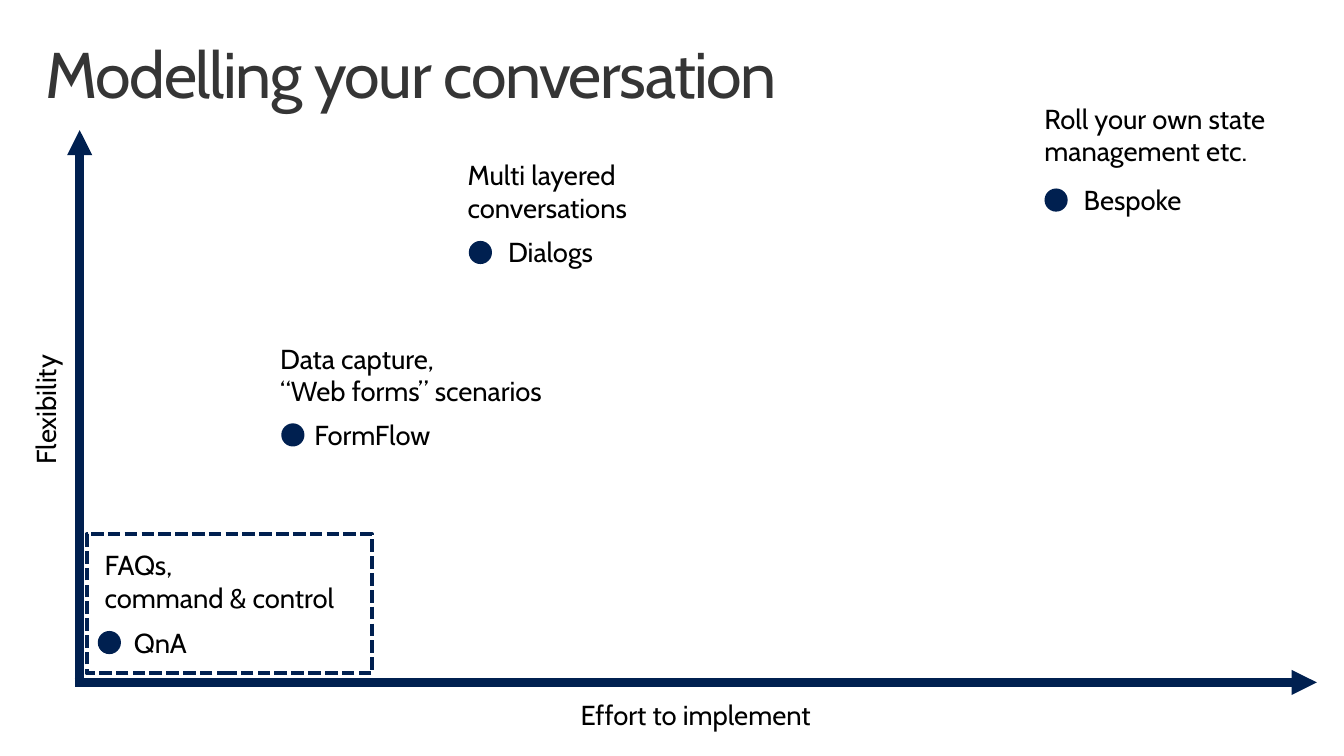
from lxml import etree
from pptx import Presentation
from pptx.dml.color import RGBColor
from pptx.enum.dml import MSO_LINE_DASH_STYLE as DASH
from pptx.enum.shapes import MSO_CONNECTOR as CONNECTOR, MSO_SHAPE as SHAPE
from pptx.enum.text import MSO_AUTO_SIZE as AUTO_SIZE, PP_ALIGN as ALIGN
from pptx.oxml.ns import qn
from pptx.util import Inches, Pt

COLORS = {"navy": "002050", "title": "353535", "text": "000000"}
LABEL = {"name": "Cabin", "size": Pt(19.6)}
TITLE = {"name": "Cabin", "size": Pt(46.1)}
DOT_SIZE = 0.23

OPTIONS = [
    ("Dialogs", (4.65, 2.39), (4.94, 2.28),
     ["Multi layered", "conversations"], (4.54, 1.52, 3.42, 0.76)),
    ("FormFlow", (2.79, 4.2), (3.02, 4.1),
     ["Data capture,", "“Web forms” scenarios"], (2.68, 3.34, 3.14, 0.76)),
    ("QnA", (0.97, 6.26), (1.23, 6.16),
     ["FAQs,", "command & control"], (0.94, 5.39, 3.14, 0.76)),
    ("Bespoke", (10.36, 1.87), (10.65, 1.77),
     ["Roll your own state management etc."], (10.26, 0.96, 3.05, 0.76)),
]


def rgb(name):
    return RGBColor.from_string(COLORS[name])


def add_text(shapes, lines, box, align=ALIGN.LEFT, fmt=LABEL, color="text"):
    sp = shapes.add_textbox(*map(Inches, box))
    tf = sp.text_frame
    tf.word_wrap = True
    tf.auto_size = AUTO_SIZE.SHAPE_TO_FIT_TEXT
    for i, line in enumerate(lines):
        p = tf.paragraphs[0] if i == 0 else tf.add_paragraph()
        p.alignment = align
        r = p.add_run()
        r.text = line
        for key, value in fmt.items():
            setattr(r.font, key, value)
        r.font.color.rgb = rgb(color)
    return sp


def add_title(s, text):
    sp = add_text(s.shapes, [text], (0.29, 0.32, 12.75, 0.98), fmt=TITLE, color="title")
    tf = sp.text_frame
    tf.auto_size = AUTO_SIZE.NONE
    margins = {"margin_left": 0.16, "margin_right": 0.16, "margin_top": 0.1, "margin_bottom": 0.1}
    for key, value in margins.items():
        setattr(tf, key, Inches(value))
    p = tf.paragraphs[0]
    p.line_spacing = 0.9
    p.runs[0].font._element.set("spc", "-100")


def add_axis(s, start, end):
    axis = s.shapes.add_connector(CONNECTOR.STRAIGHT, *map(Inches, start + end))
    axis.line.color.rgb = rgb("navy")
    axis.line.width = Pt(6)
    etree.SubElement(axis.line._get_or_add_ln(), qn("a:tailEnd"), type="triangle")
    etree.SubElement(axis._element.spPr, qn("a:effectLst"))


def add_option(s, name, dot_at, name_at):
    group = s.shapes.add_group_shape()
    dot = group.shapes.add_shape(SHAPE.OVAL, *map(Inches, dot_at + (DOT_SIZE, DOT_SIZE)))
    dot.shadow.inherit = False
    dot.fill.solid()
    dot.fill.fore_color.rgb = rgb("navy")
    dot.line.fill.background()
    add_text(group.shapes, [name], name_at + (1.45, 0.43))


def add_dashed_frame(s, box):
    frame = s.shapes.add_shape(SHAPE.RECTANGLE, *map(Inches, box))
    frame.shadow.inherit = False
    frame.fill.background()
    frame.line.color.rgb = rgb("navy")
    frame.line.width = Pt(3)
    frame.line.dash_style = DASH.SQUARE_DOT


def main():
    prs = Presentation()
    prs.slide_width, prs.slide_height = Inches(13.33), Inches(7.5)
    s = prs.slides.add_slide(prs.slide_layouts[6])

    add_title(s, "Modelling your conversation")
    add_axis(s, (0.79, 6.81), (0.79, 1.29))
    flexibility = add_text(s.shapes, ["Flexibility"], (-2.31, 3.85, 5.52, 0.43), ALIGN.CENTER)
    flexibility.rotation = 270
    add_text(s.shapes, ["Effort to implement"], (0.74, 6.88, 12.32, 0.43), ALIGN.CENTER)
    add_axis(s, (0.74, 6.77), (13.06, 6.77))

    for name, dot_at, name_at, use_lines, use_box in OPTIONS:
        add_option(s, name, dot_at, name_at)
        add_text(s.shapes, use_lines, use_box)
    add_dashed_frame(s, (0.86, 5.3, 2.83, 1.38))

    prs.save("out.pptx")


if __name__ == "__main__":
    main()
